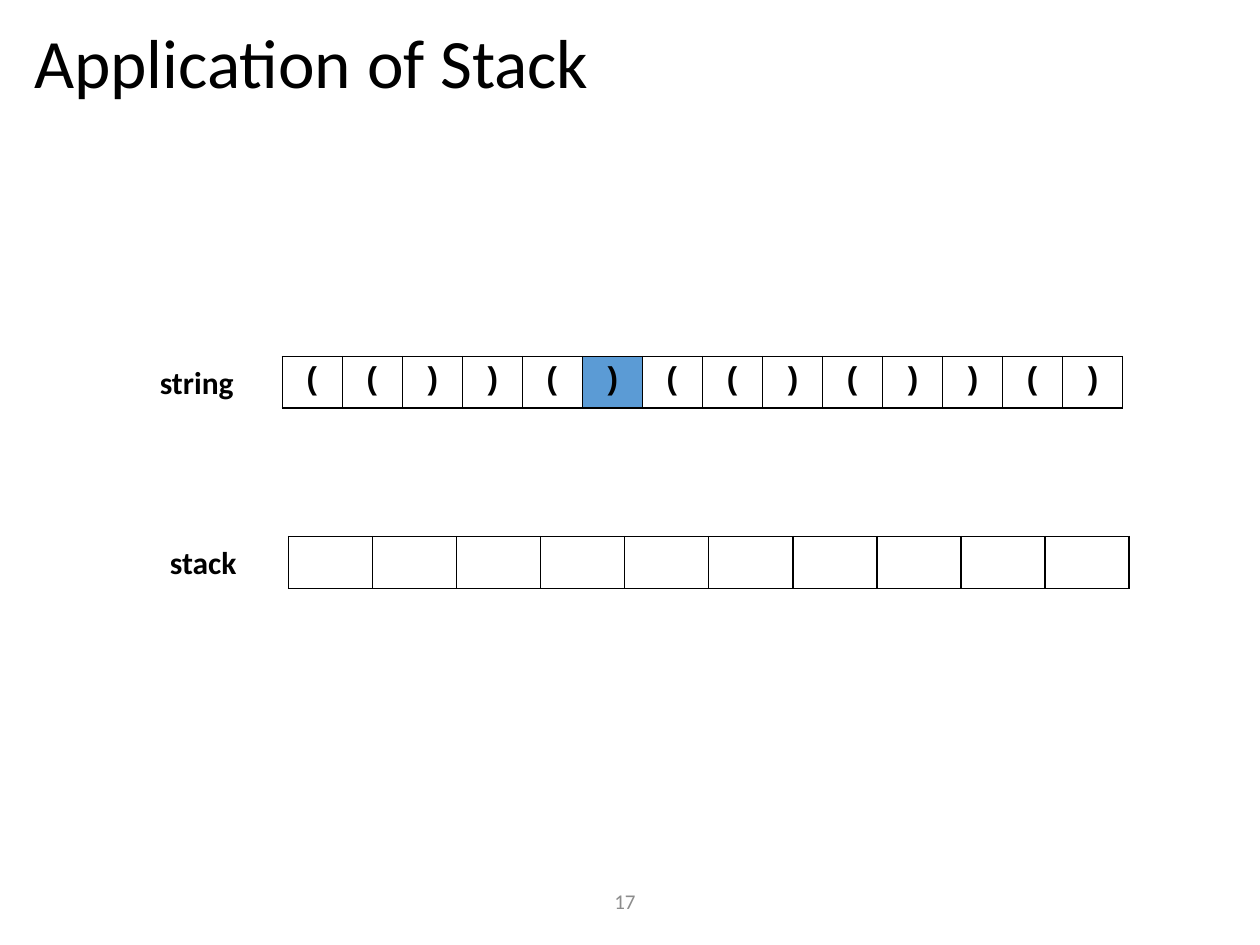
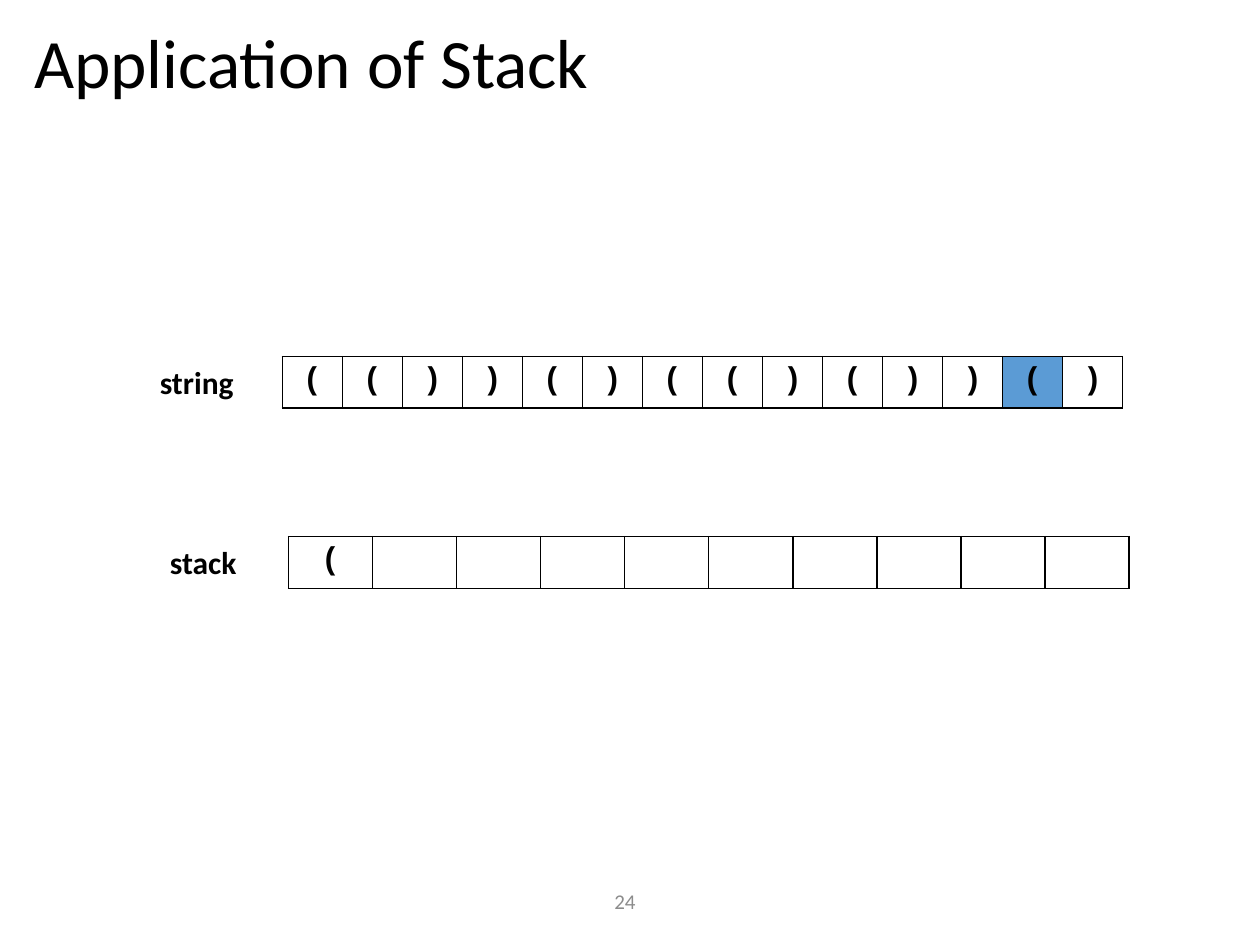
from lxml.etree import SubElement
from pptx import Presentation
from pptx.dml.color import RGBColor
from pptx.enum.text import MSO_ANCHOR as Anchor, PP_ALIGN as Align
from pptx.oxml.ns import qn
from pptx.util import Inches, Pt

WIDTH, HEIGHT = 10, 7.5
BLACK, GREY, CURRENT = "000000", "8C8C8C", "5B9BD5"
BODY_FONT, CODE_FONT = "Calibri", "Courier New"
TITLE = "Application of Stack"
TITLE_BOX = (0.17, 0.18, 9.62, 0.74)
NUMBER_BOX = (2.62, 6.95, 4.68, 0.4)
STRING_BOX = (2.24, 2.83, 6.67, 0.41)
STACK_BOX = (2.29, 4.26, 6.67, 0.41)
BRACKETS = "(())()(()())()"
STACK_SIZE = 10
# Slide number, index of the bracket being read, brackets on the stack
STEPS = [(17, 5, ""), (24, 12, "(")]


def color(hex_code):
    return RGBColor.from_string(hex_code)


def inches(box):
    return [Inches(length) for length in box]


def write(paragraph, text, size, font=BODY_FONT, ink=BLACK, bold=False,
          align=Align.LEFT):
    paragraph.alignment = align
    run = paragraph.add_run()
    run.text = text
    run.font.size = Pt(size)
    run.font.name = font
    run.font.bold = bold
    run.font.color.rgb = color(ink)


def add_text(slide, box, text, size, anchor=Anchor.TOP, **style):
    frame = slide.shapes.add_textbox(*inches(box)).text_frame
    frame.word_wrap = True
    frame.vertical_anchor = anchor
    write(frame.paragraphs[0], text, size, **style)


def add_title(slide):
    title = slide.shapes.title
    title.left, title.top, title.width, title.height = inches(TITLE_BOX)
    frame = title.text_frame
    frame.vertical_anchor = Anchor.TOP
    frame.paragraphs[0].line_spacing = 0.9
    write(frame.paragraphs[0], TITLE, 39.6)


def outline(cell, ink=BLACK, points=1):
    """Draw all four borders; call before filling, as the schema orders them."""
    properties = cell._tc.get_or_add_tcPr()
    for side in ("lnL", "lnR", "lnT", "lnB"):
        line = SubElement(properties, qn(f"a:{side}"), w=str(Pt(points)))
        fill = SubElement(line, qn("a:solidFill"))
        SubElement(fill, qn("a:srgbClr"), val=ink)


def add_cells(slide, box, symbols, count, current=None):
    """Draw a row of equal cells, filled from the left with symbols."""
    table = slide.shapes.add_table(1, count, *inches(box)).table
    table.first_row = table.horz_banding = False
    for index, cell in enumerate(table.iter_cells()):
        table.columns[index].width = Inches(box[2] / count)
        outline(cell)
        if index == current:
            cell.fill.solid()
            cell.fill.fore_color.rgb = color(CURRENT)
        else:
            cell.fill.background()
        if index < len(symbols):
            write(cell.text_frame.paragraphs[0], symbols[index], 18,
                  font=CODE_FONT, bold=True, align=Align.CENTER)


def add_labelled_row(slide, box, label, label_left, label_width, symbols,
                     count, current=None):
    add_cells(slide, box, symbols, count, current)
    add_text(slide, (label_left, box[1], label_width, 0.4), label, 18,
             bold=True)


def add_step(deck, number, current, stacked):
    slide = deck.slides.add_slide(deck.slide_layouts[5])
    add_text(slide, NUMBER_BOX, str(number), 12, Anchor.MIDDLE, ink=GREY,
             align=Align.CENTER)
    add_title(slide)
    add_labelled_row(slide, STACK_BOX, "stack", 1.25, 0.89, stacked,
                     STACK_SIZE)
    add_labelled_row(slide, STRING_BOX, "string", 1.17, 0.93, BRACKETS,
                     len(BRACKETS), current)


def main():
    deck = Presentation()
    deck.slide_width, deck.slide_height = inches((WIDTH, HEIGHT))
    for step in STEPS:
        add_step(deck, *step)
    deck.save("out.pptx")


if __name__ == "__main__":
    main()
